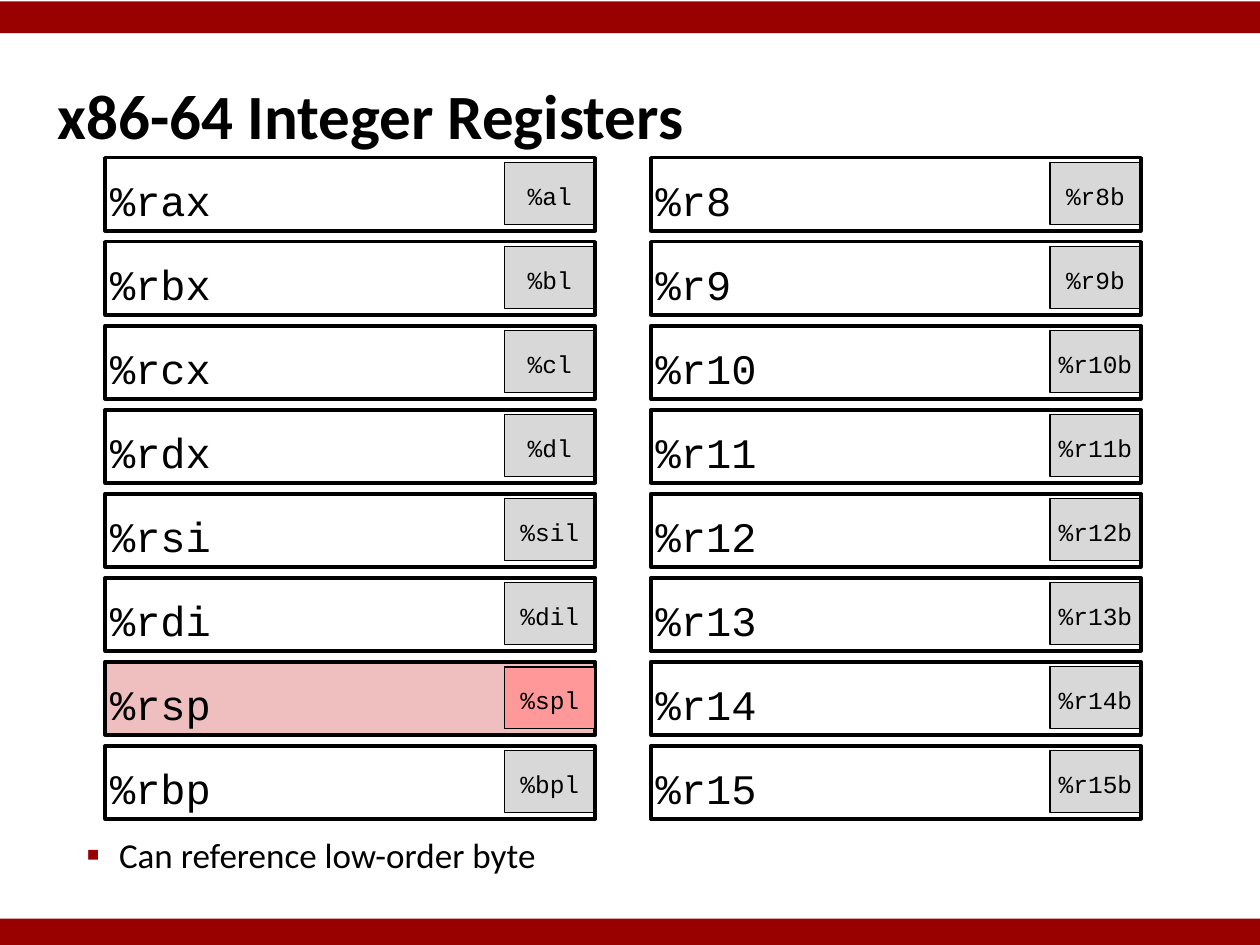
import lxml.etree
import pptx
import pptx.dml.color
import pptx.enum.shapes
import pptx.enum.text
import pptx.oxml.ns
import pptx.util

Cm = pptx.util.Cm
Pt = pptx.util.Pt
RGB = pptx.dml.color.RGBColor
ALIGN = pptx.enum.text.PP_ALIGN
ANCHOR = pptx.enum.text.MSO_ANCHOR

BLACK = RGB(0x00, 0x00, 0x00)
RED = RGB(0x99, 0x00, 0x00)
GRAY = RGB(0xD8, 0xD8, 0xD8)
PINK = RGB(0xEF, 0xBF, 0xBF)
CORAL = RGB(0xFF, 0x99, 0x99)

WIDTH, HEIGHT = 25.4, 19.05
INSET = 0.1
STACK = "%rsp"
LEFT = [
    ("%rax", "%al"), ("%rbx", "%bl"), ("%rcx", "%cl"), ("%rdx", "%dl"),
    ("%rsi", "%sil"), ("%rdi", "%dil"), (STACK, "%spl"), ("%rbp", "%bpl"),
]
RIGHT = [(f"%r{n}", f"%r{n}b") for n in range(8, 16)]


def write(shape, text, size, font="Calibri", bold=False, align=ALIGN.LEFT,
          anchor=ANCHOR.MIDDLE, drop=0, bullet=None):
    """Fill a shape with one paragraph; drop is extra top inset in cm."""
    frame = shape.text_frame
    frame.word_wrap = True
    frame.vertical_anchor = anchor
    frame.margin_left = frame.margin_right = frame.margin_bottom = Cm(INSET)
    frame.margin_top = Cm(INSET + drop)
    para = frame.paragraphs[0]
    para.text = text
    para.alignment = align
    if bullet:
        mark(para, bullet)
    para.font.name = font
    para.font.size = Pt(size)
    para.font.bold = bold
    para.font.color.rgb = BLACK


def mark(para, sign):
    """Give a paragraph a red bullet and a hanging indent."""
    props = para._p.get_or_add_pPr()
    props.set("marL", str(Cm(1.42)))
    props.set("indent", str(-Cm(0.66)))

    def add(parent, tag, **attrs):
        return lxml.etree.SubElement(parent, pptx.oxml.ns.qn(tag), attrs)

    add(add(props, "a:buClr"), "a:srgbClr", val=str(RED))
    add(props, "a:buSzPct", val="110000")
    add(props, "a:buFont", typeface="Calibri")
    add(props, "a:buChar", char=sign)


def rect(slide, box, fill=None, line=None):
    kind = pptx.enum.shapes.MSO_SHAPE.RECTANGLE
    shape = slide.shapes.add_shape(kind, *map(Cm, box))
    shape.shadow.inherit = False
    if fill is None:
        shape.fill.background()
    else:
        shape.fill.solid()
        shape.fill.fore_color.rgb = fill
    if line is None:
        shape.line.fill.background()
    else:
        shape.line.color.rgb = BLACK
        shape.line.width = Pt(line)
    return shape


def cell(slide, box, name, byte):
    """Draw a register with its low-order byte at the right end."""
    left, top, width, height = box
    hot = name == STACK
    frame = rect(slide, box, PINK if hot else None, 2)
    write(frame, name, 24, "Courier New", drop=0.2)
    chip = rect(slide, (left + width - 1.83, top + 0.1, 1.83, height - 0.23),
                CORAL if hot else GRAY, 1 if hot else 0.75)
    write(chip, byte, 14, "Courier New", align=ALIGN.CENTER, drop=0.1)
    if not hot:
        # The frame's outline lies over the byte box.
        slide.shapes._spTree.append(frame._element)


def column(slide, box, pairs):
    left, top, width, height = box
    gap = 0.22
    step = (height + gap) / len(pairs)
    for row, (name, byte) in enumerate(pairs):
        cell(slide, (left, top + row * step, width, step - gap), name, byte)


def label(slide, box, text, size, **style):
    write(slide.shapes.add_textbox(*map(Cm, box)), text, size, **style)


def main():
    deck = pptx.Presentation()
    deck.slide_width, deck.slide_height = Cm(WIDTH), Cm(HEIGHT)
    slide = deck.slides.add_slide(deck.slide_layouts[6])

    label(slide, (1.06, 0.71, 23.28, 3.18), "x86-64 Integer Registers", 36,
          bold=True)
    label(slide, (0.88, 16.71, 20.37, 2.34), "Can reference low-order byte",
          20, anchor=ANCHOR.TOP, bullet="▪")
    for left, pairs in ((2.12, LEFT), (13.12, RIGHT)):
        column(slide, (left, 3.18, 9.88, 13.33), pairs)
    for top in (0.03, 18.52):
        rect(slide, (0, top, WIDTH, 0.64), RED)

    deck.save("out.pptx")


if __name__ == "__main__":
    main()
